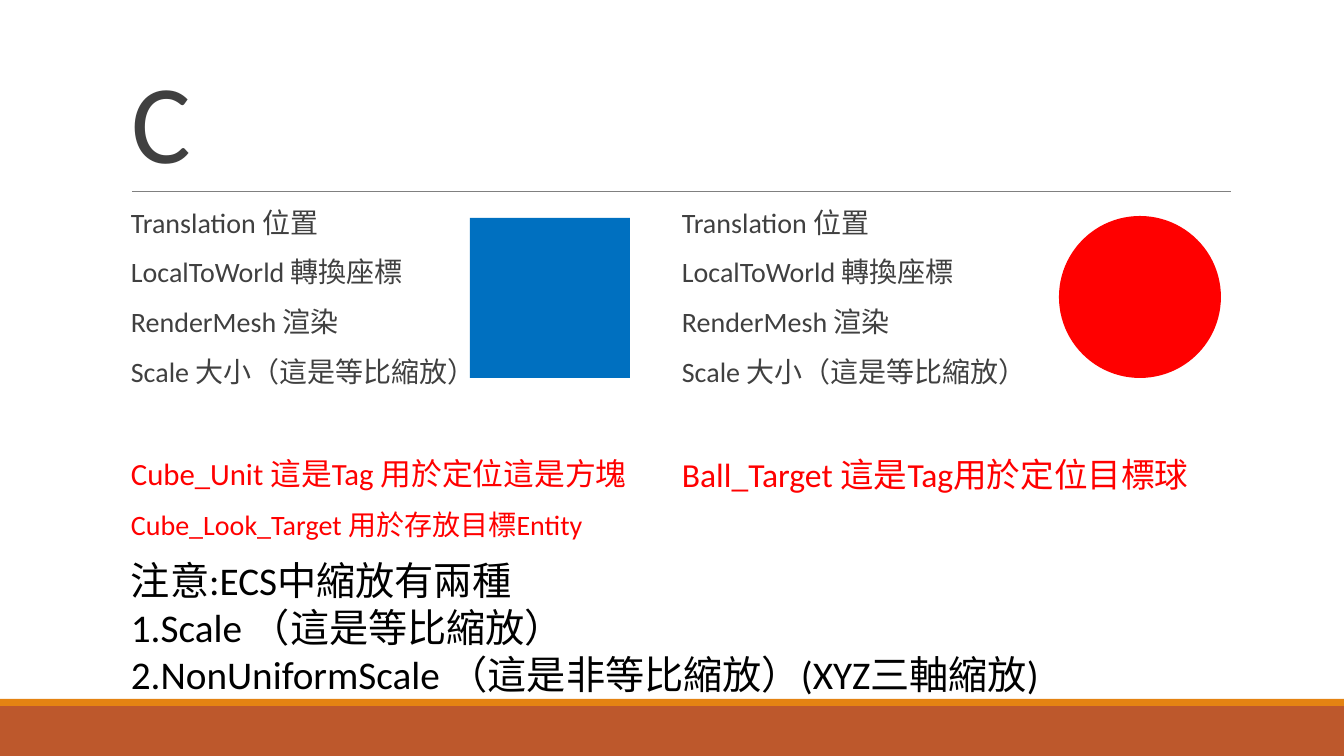
from pptx import Presentation
from pptx.dml.color import RGBColor
from pptx.enum.shapes import MSO_CONNECTOR as Link, MSO_SHAPE as Shape
from pptx.enum.text import MSO_ANCHOR as Anchor, MSO_AUTO_SIZE as Fit, PP_ALIGN as Align
from pptx.oxml.ns import qn
from pptx.util import Emu, Pt

PX = 12192000 / 1344
WIDE, HIGH = 1344, 756
GREY = RGBColor(0x40, 0x40, 0x40)
RULE = RGBColor(0x80, 0x80, 0x80)
RUST = RGBColor(0xBD, 0x58, 0x2C)
AMBER = RGBColor(0xE4, 0x83, 0x12)
BLUE = RGBColor(0x00, 0x70, 0xC0)
RED = RGBColor(0xFF, 0x00, 0x00)
BLACK = RGBColor(0x00, 0x00, 0x00)

LEFT, RIGHT = 121, 672
PARTS = ["Translation 位置", "LocalToWorld 轉換座標", "RenderMesh 渲染", "Scale 大小（這是等比縮放）"]
NOTES = ["注意:ECS中縮放有兩種", "1.Scale （這是等比縮放）",
         "2.NonUniformScale （這是非等比縮放）(XYZ三軸縮放)"]
LIST = {"line_spacing": 0.9, "space_before": Pt(12), "space_after": Pt(2)}
# The tag rows stand one empty row below the parts.
GAP = {**LIST, "space_before": Pt(48)}


def px(*nums):
    return [Emu(round(n * PX)) for n in nums]


def assign(item, values):
    for name, value in values.items():
        setattr(item, name, value)


class Page:
    def __init__(self, deck, font):
        self.font = font
        self.slide = deck.slides.add_slide(deck.slide_layouts[5])
        self.shapes = self.slide.shapes

    def fill(self, kind, box, color):
        shape = self.shapes.add_shape(kind, *px(*box))
        shape.shadow.inherit = False
        shape.fill.solid()
        shape.fill.fore_color.rgb = color
        shape.line.fill.background()

    def rule(self, ends, color):
        line = self.shapes.add_connector(Link.STRAIGHT, *px(*ends))
        line.line.color.rgb = color
        line.line.width = Pt(0.5)
        props = line._element.spPr
        props.append(props.makeelement(qn("a:effectLst"), {}))

    def put(self, frame, rows):
        """Fill a frame with rows of (text, size, color, paragraph format)."""
        assign(frame, {"word_wrap": True, "auto_size": Fit.NONE})
        for i, (text, size, color, form) in enumerate(rows):
            para = frame.add_paragraph() if i else frame.paragraphs[0]
            assign(para, {"alignment": Align.LEFT, **form})
            run = para.add_run()
            run.text = text
            assign(run.font, {"name": self.font, "size": Pt(size)})
            run.font.color.rgb = color

    def title(self, text, box):
        shape = self.shapes.title
        assign(shape, dict(zip(("left", "top", "width", "height"), px(*box))))
        frame = shape.text_frame
        frame.vertical_anchor = Anchor.BOTTOM
        self.put(frame, [(text, 80, GREY, {"line_spacing": 0.85})])
        frame.paragraphs[0].runs[0].font._element.set("spc", "-50")

    def text(self, box, rows):
        self.put(self.shapes.add_textbox(*px(*box)).text_frame, rows)


def main():
    deck = Presentation()
    deck.slide_width, deck.slide_height = px(WIDE, HIGH)
    page = Page(deck, "Calibri")

    page.fill(Shape.RECTANGLE, (0, 706, WIDE, 50), RUST)
    page.fill(Shape.RECTANGLE, (0, 699, WIDE, 7), AMBER)
    page.rule((132, 191, 1231, 191), RULE)
    page.title("C", (LEFT, 31, 1109, 160))

    parts = [(part, 20, GREY, LIST) for part in PARTS]
    cube = [("Cube_Unit 這是Tag 用於定位這是方塊", 22, RED, GAP),
            ("Cube_Look_Target 用於存放目標Entity", 20, RED, LIST)]
    ball = [("Ball_Target 這是Tag用於定位目標球", 24, RED, GAP)]
    for left, tags in ((LEFT, cube), (RIGHT, ball)):
        page.text((left, 204, 551, 444), parts + tags)

    page.fill(Shape.RECTANGLE, (470, 218, 160, 160), BLUE)
    page.fill(Shape.OVAL, (1059, 216, 162, 162), RED)
    page.text((LEFT, 551, 1102, 152), [(note, 28, BLACK, {}) for note in NOTES])
    deck.save("out.pptx")


if __name__ == "__main__":
    main()
